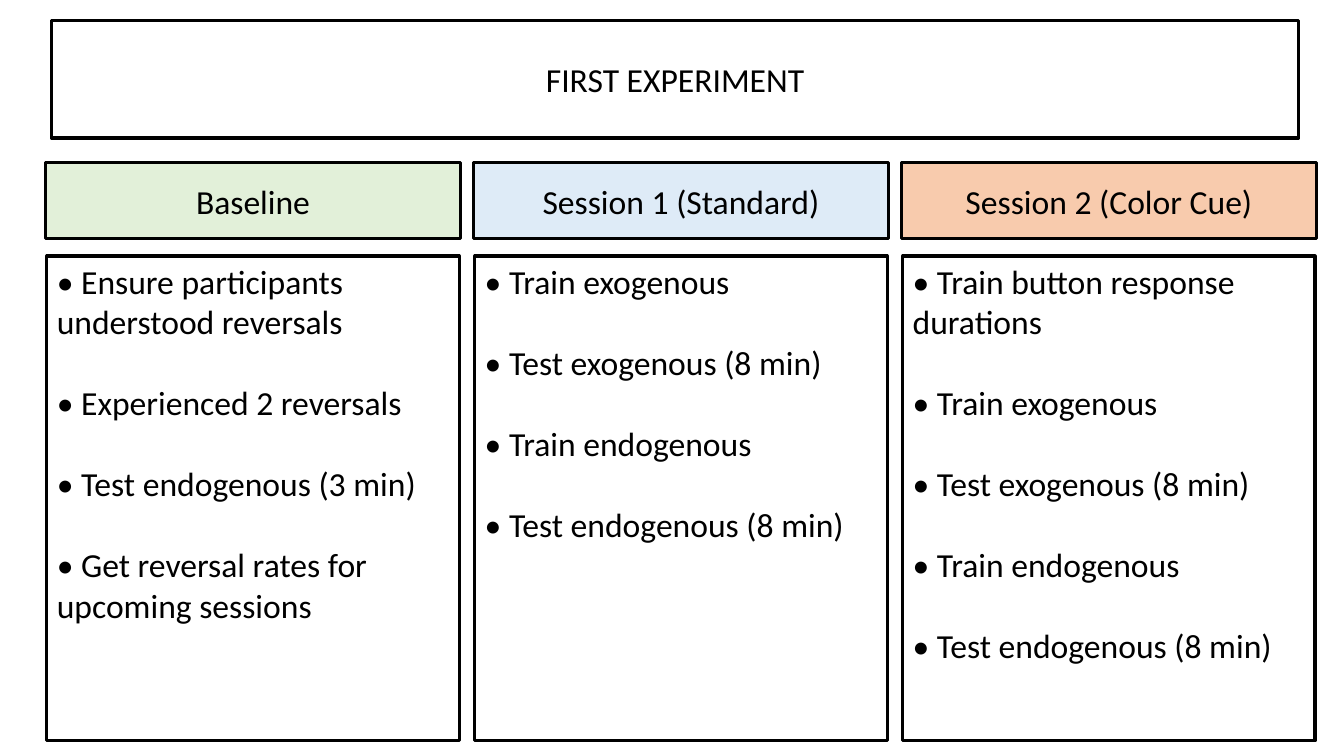
from pptx import Presentation
from pptx.dml.color import RGBColor
from pptx.enum.shapes import MSO_SHAPE
from pptx.enum.text import MSO_ANCHOR, PP_ALIGN
from pptx.util import Inches, Pt

RECTANGLE = MSO_SHAPE.RECTANGLE
TOP, MIDDLE = MSO_ANCHOR.TOP, MSO_ANCHOR.MIDDLE
LEFT, CENTER = PP_ALIGN.LEFT, PP_ALIGN.CENTER

BLACK = RGBColor(0x00, 0x00, 0x00)
GREEN = RGBColor(0xE2, 0xF0, 0xD9)
BLUE = RGBColor(0xDE, 0xEB, 0xF7)
ORANGE = RGBColor(0xF8, 0xCB, 0xAD)

FIRST_COLUMN = 3.38
COLUMN_PITCH = 31.84
HEADER_WIDTH = 30.9
STEPS_WIDTH = 30.68
STEPS_INSET = (HEADER_WIDTH - STEPS_WIDTH) / 2

PHASES = [
    ("Baseline", GREEN, [
        "Ensure participants understood reversals",
        "Experienced 2 reversals",
        "Test endogenous (3 min)",
        "Get reversal rates for upcoming sessions",
    ]),
    ("Session 1 (Standard)", BLUE, [
        "Train exogenous",
        "Test exogenous (8 min)",
        "Train endogenous",
        "Test endogenous (8 min)",
    ]),
    ("Session 2 (Color Cue)", ORANGE, [
        "Train button response durations",
        "Train exogenous",
        "Test exogenous (8 min)",
        "Train endogenous",
        "Test endogenous (8 min)",
    ]),
]


class ExperimentSlide:
    """Draws outlined boxes placed in percent of the slide's size."""

    font_name = "Calibri"
    font_size = Pt(24)
    border = Pt(2.25)
    step_gap = Pt(29)

    def __init__(self, deck):
        self.width, self.height = deck.slide_width, deck.slide_height
        self.slide = deck.slides.add_slide(deck.slide_layouts[6])

    def box(self, left, top, width, height, lines, fill, anchor, align):
        frame = self.slide.shapes.add_shape(
            RECTANGLE,
            round(self.width * left / 100), round(self.height * top / 100),
            round(self.width * width / 100), round(self.height * height / 100))
        frame.shadow.inherit = False
        if fill is None:
            frame.fill.background()
        else:
            frame.fill.solid()
            frame.fill.fore_color.rgb = fill
        frame.line.color.rgb = BLACK
        frame.line.width = self.border
        text = frame.text_frame
        text.word_wrap = True
        text.vertical_anchor = anchor
        text.text = "\n".join(lines)
        for number, paragraph in enumerate(text.paragraphs):
            paragraph.alignment = align
            paragraph.space_before = self.step_gap if number else Pt(0)
            paragraph.font.name = self.font_name
            paragraph.font.size = self.font_size
            paragraph.font.color.rgb = BLACK

    def heading(self, left, top, width, height, label, fill=None):
        self.box(left, top, width, height, [label], fill, MIDDLE, CENTER)

    def steps(self, left, top, width, height, steps):
        lines = [f"• {step}" for step in steps]
        self.box(left, top, width, height, lines, None, TOP, LEFT)


def main():
    deck = Presentation()
    deck.slide_width, deck.slide_height = Inches(13.33), Inches(7.5)
    experiment = ExperimentSlide(deck)
    for column, (phase, color, steps) in enumerate(PHASES):
        left = FIRST_COLUMN + column * COLUMN_PITCH
        experiment.heading(left, 21.47, HEADER_WIDTH, 10.13, phase, color)
        experiment.steps(left + STEPS_INSET, 33.87, STEPS_WIDTH, 64.13, steps)
    experiment.heading(3.83, 2.67, 92.8, 15.6, "FIRST EXPERIMENT")
    deck.save("out.pptx")


if __name__ == "__main__":
    main()
